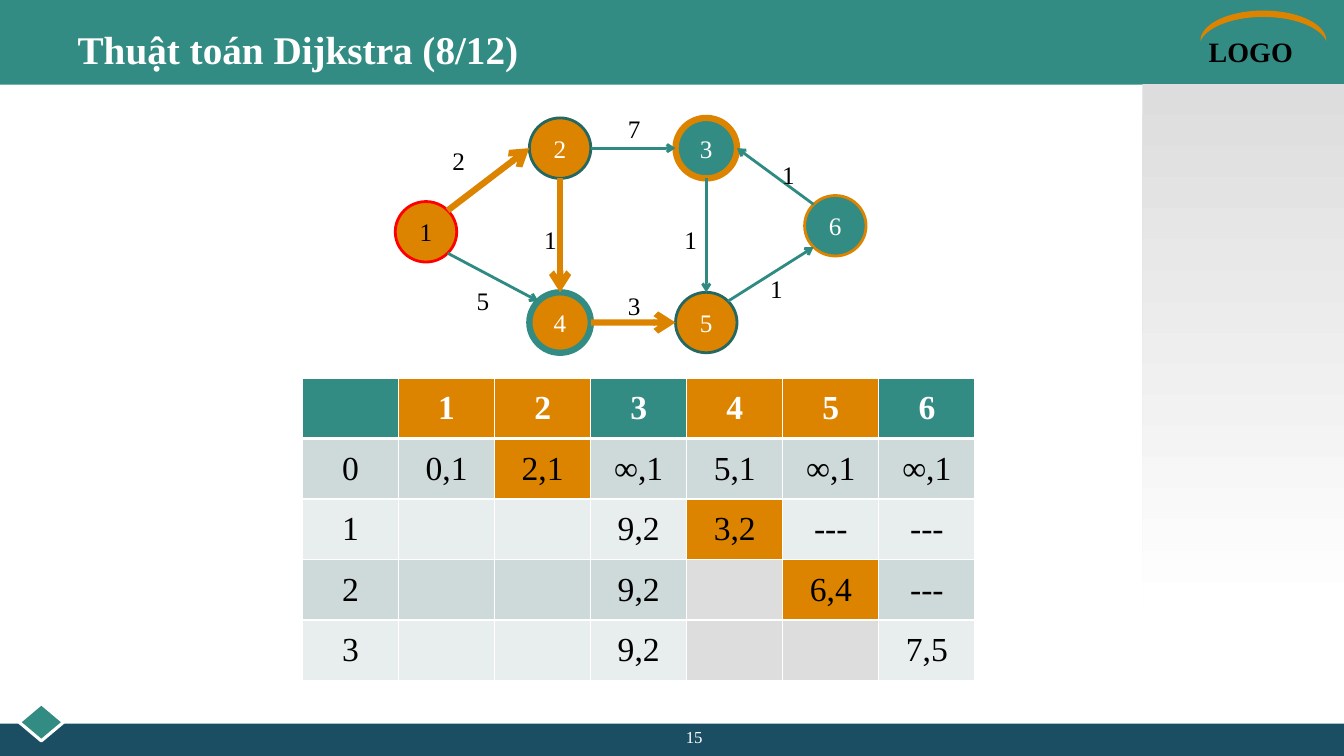
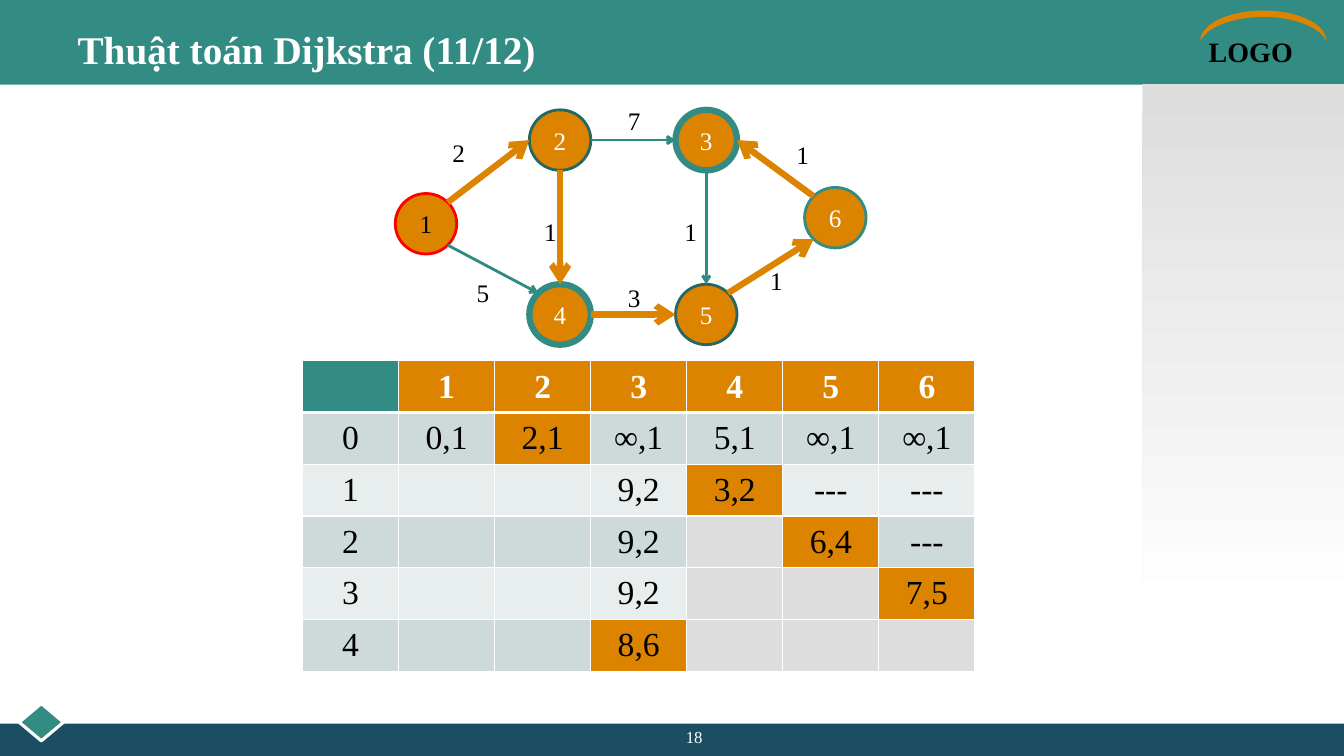
from dataclasses import dataclass
from itertools import pairwise
from math import cos, radians, sin
from typing import Any, NamedTuple

from lxml.etree import SubElement
from pptx import Presentation
from pptx.dml.color import RGBColor
from pptx.enum.shapes import MSO_CONNECTOR, MSO_SHAPE
from pptx.enum.text import MSO_ANCHOR, MSO_AUTO_SIZE, PP_ALIGN
from pptx.oxml import parse_xml
from pptx.oxml.ns import nsdecls, qn
from pptx.util import Inches, Pt


# Theme
@dataclass(frozen=True)
class Theme:
    font: str = "Times New Roman"
    teal: RGBColor = RGBColor(0x32, 0x8C, 0x83)
    edge: RGBColor = RGBColor(0x2F, 0x8B, 0x82)
    dark_teal: RGBColor = RGBColor(0x25, 0x68, 0x61)
    navy: RGBColor = RGBColor(0x1B, 0x4E, 0x63)
    orange: RGBColor = RGBColor(0xDC, 0x83, 0x00)
    red: RGBColor = RGBColor(0xFF, 0x00, 0x00)
    gray: RGBColor = RGBColor(0xDD, 0xDD, 0xDD)
    row_dark: RGBColor = RGBColor(0xCE, 0xDA, 0xD9)
    row_light: RGBColor = RGBColor(0xE8, 0xEE, 0xED)
    white: RGBColor = RGBColor(0xFF, 0xFF, 0xFF)
    black: RGBColor = RGBColor(0, 0, 0)
    title: int = 28
    cell: int = 24
    logo: int = 20
    graph: int = 18
    page: int = 12
    thin: float = 2
    thick: float = 4.5


T = Theme()


class Box(NamedTuple):
    left: float
    top: float
    width: float
    height: float

    def emu(self) -> list[int]:
        return [Inches(v) for v in self]


@dataclass(frozen=True)
class Node:
    left: float
    top: float
    line_width: float = T.thin
    outline: RGBColor | None = None  # None: depends on the node being visited
    text: RGBColor = T.white


@dataclass(frozen=True)
class Edge:
    start: int
    start_site: int
    end: int
    end_site: int
    weight: str
    label_at: tuple[float, float]


@dataclass(frozen=True)
class Step:
    number: int
    page: int
    done: int  # how many table rows have a chosen vertex
    rise: float  # how far the graph is moved up
    table: Box
    labels: dict[tuple[int, int], tuple[float, float]]  # moved edge labels


# Graph: ellipse sites run counter-clockwise from 0 at the top, 45° apart
NODE_W, NODE_H = 0.61, 0.6
NODES = {
    1: Node(3.92, 2, outline=T.red, text=T.black),
    2: Node(5.25, 1.17, outline=T.dark_teal),
    3: Node(6.7, 1.17, T.thick),
    6: Node(7.98, 1.94),
    5: Node(6.7, 2.9, outline=T.dark_teal),
    4: Node(5.25, 2.9, T.thick),
}
EDGES = [
    Edge(1, 7, 2, 2, "2", (4.34, 1.39)),
    Edge(1, 5, 4, 1, "5", (4.58, 2.78)),
    Edge(2, 4, 4, 0, "1", (5.25, 2.18)),
    Edge(2, 6, 3, 2, "7", (6.08, 1.08)),
    Edge(3, 4, 5, 0, "1", (6.64, 2.18)),
    Edge(4, 6, 5, 2, "3", (6.08, 2.83)),
    Edge(5, 7, 6, 3, "1", (7.49, 2.66)),
    Edge(6, 1, 3, 6, "1", (7.61, 1.53)),
]

# Table: one vertex of PATH after the start is chosen in each row
PATH = [1, 2, 4, 5, 6, 3]
GRAYED = {3, 4, 5, 6}
ROWS = [
    ["", "1", "2", "3", "4", "5", "6"],
    ["0", "0,1", "2,1", "∞,1", "5,1", "∞,1", "∞,1"],
    ["1", "", "", "9,2", "3,2", "---", "---"],
    ["2", "", "", "9,2", "", "6,4", "---"],
    ["3", "", "", "9,2", "", "", "7,5"],
    ["4", "", "", "8,6", "", "", ""],
]

STEPS = [
    Step(8, 15, 3, 0, Box(3, 3.75, 6.67, 3), {}),
    Step(11, 18, 5, 0.08, Box(3, 3.58, 6.67, 3.08), {(6, 3): (7.75, 1.41)}),
]


# Drawing helpers
def set_format(obj: Any, values: dict[str, Any]) -> None:
    for name, value in values.items():
        setattr(obj, name, value)


def write(tf: Any, text: str, size: int, color: RGBColor, bold: bool = False,
          align: PP_ALIGN = PP_ALIGN.CENTER) -> None:
    p = tf.paragraphs[0]
    p.alignment = align
    r = p.add_run()
    r.text = text
    set_format(r.font, {"name": T.font, "size": Pt(size), "bold": bold})
    r.font.color.rgb = color


def add_text(s: Any, box: Box, text: str, size: int, color: RGBColor,
             grow: bool = True, **style: Any) -> Any:
    sp = s.shapes.add_textbox(*box.emu())
    fit = MSO_AUTO_SIZE.SHAPE_TO_FIT_TEXT if grow else MSO_AUTO_SIZE.NONE
    set_format(sp.text_frame, {"word_wrap": True, "auto_size": fit})
    write(sp.text_frame, text, size, color, **style)
    return sp


def add_shape(s: Any, kind: MSO_SHAPE, box: Box, fill: RGBColor,
              line: RGBColor | None = None, width: float = 0) -> Any:
    sp = s.shapes.add_shape(kind, *box.emu())
    sp.shadow.inherit = False
    sp.fill.solid()
    sp.fill.fore_color.rgb = fill
    if line is None:
        sp.line.fill.background()
    else:
        sp.line.color.rgb = line
        sp.line.width = Pt(width)
    return sp


# Shared frame, kept on the layout
def build_frame(s: Any, layout: Any) -> None:
    moon = add_shape(s, MSO_SHAPE.MOON, Box(12.38, -0.37, 0.3, 1.25), T.orange)
    moon.rotation = 90
    moon.adjustments[0] = 0.21
    panel = add_shape(s, MSO_SHAPE.RECTANGLE, Box(11.33, 0.83, 2, 5.25), T.gray)
    panel.fill.gradient()
    panel.fill.gradient_angle = 270
    for stop, position, color in zip(panel.fill.gradient_stops, (0, 1), (T.gray, T.white)):
        stop.position = position
        stop.color.rgb = color
    frame = [
        add_shape(s, MSO_SHAPE.RECTANGLE, Box(0, 0, 13.33, 0.84), T.teal),
        add_shape(s, MSO_SHAPE.RECTANGLE, Box(0, 7.18, 13.33, 0.32), T.navy),
        add_shape(s, MSO_SHAPE.DIAMOND, Box(0.19, 6.98, 0.44, 0.37), T.teal, T.white, 2.25),
        add_text(s, Box(11.89, 0.29, 1.44, 0.43), "LOGO", T.logo, T.black,
                 bold=True, align=PP_ALIGN.LEFT),
        moon,
        panel,
    ]
    for shape_id, sp in enumerate(frame, 100):
        sp.element.nvSpPr.cNvPr.set("id", str(shape_id))
        layout.shapes.element.append(sp.element)


def add_title(s: Any, step: Step) -> None:
    title = s.shapes.title
    places = Box(0.67, 0.17, 12, 0.62).emu()
    set_format(title, dict(zip(("left", "top", "width", "height"), places)))
    set_format(title.text_frame, {"vertical_anchor": MSO_ANCHOR.MIDDLE, "word_wrap": True,
                                  "auto_size": MSO_AUTO_SIZE.NONE})
    write(title.text_frame, f"Thuật toán Dijkstra ({step.number}/12)", T.title, T.white,
          bold=True, align=PP_ALIGN.LEFT)


# Distance table
def set_borders(cell: Any, top: float, bottom: float) -> None:
    tc_pr = cell._tc.get_or_add_tcPr()
    for i, (side, width) in enumerate({"L": 1, "R": 1, "T": top, "B": bottom}.items()):
        tc_pr.insert(i, parse_xml(
            f'<a:ln{side} {nsdecls("a")} w="{Pt(width)}"><a:solidFill>'
            f'<a:srgbClr val="{T.white}"/></a:solidFill></a:ln{side}>'))


def cell_fill(row: int, col: int, done: int) -> RGBColor:
    if row == 0:
        return T.orange if col in PATH[:done + 1] else T.teal
    if row <= done and col == PATH[row]:
        return T.orange
    if col in GRAYED.intersection(PATH[:row]):
        return T.gray
    return T.row_dark if row % 2 else T.row_light


def add_distances(s: Any, step: Step) -> None:
    rows = ROWS[:step.done + 2]
    table = s.shapes.add_table(len(rows), len(rows[0]), *step.table.emu()).table
    for col in table.columns:
        col.width = Inches(step.table.width / len(rows[0]))
    for row in table.rows:
        row.height = Inches(step.table.height / len(rows))
    for i, texts in enumerate(rows):
        for j, text in enumerate(texts):
            cell = table.cell(i, j)
            cell.vertical_anchor = MSO_ANCHOR.MIDDLE
            cell.fill.solid()
            cell.fill.fore_color.rgb = cell_fill(i, j, step.done)
            set_borders(cell, 3 if i == 1 else 1, 3 if i == 0 else 1)
            if text:
                write(cell.text_frame, text, T.cell, T.black if i else T.white, bold=i == 0)


# Weighted graph
def site_point(node: Node, site: int, rise: float) -> tuple[int, int]:
    angle = radians(45 * site)
    return (Inches(node.left + NODE_W / 2 * (1 - sin(angle))),
            Inches(node.top - rise + NODE_H / 2 * (1 - cos(angle))))


def add_arrow(s: Any, edge: Edge, circles: dict[int, Any], step: Step, chosen: bool) -> None:
    c = s.shapes.add_connector(
        MSO_CONNECTOR.STRAIGHT,
        *site_point(NODES[edge.start], edge.start_site, step.rise),
        *site_point(NODES[edge.end], edge.end_site, step.rise))
    c.line.color.rgb = T.orange if chosen else T.edge
    c.line.width = Pt(T.thick if chosen else T.thin)
    SubElement(c.line._get_or_add_ln(), qn("a:tailEnd"), type="arrow")
    SubElement(c.element.spPr, qn("a:effectLst"))
    # Ellipses have eight sites, so the joins are written directly
    joins = c.element.nvCxnSpPr.cNvCxnSpPr
    for tag, node, site in (("a:stCxn", edge.start, edge.start_site),
                            ("a:endCxn", edge.end, edge.end_site)):
        SubElement(joins, qn(tag), id=str(circles[node].shape_id), idx=str(site))


def add_graph(s: Any, step: Step) -> None:
    visited = PATH[:step.done + 1]
    circles = {}
    for number, node in NODES.items():
        seen = number in visited
        outline = node.outline or (T.teal if seen else T.orange)
        sp = add_shape(s, MSO_SHAPE.OVAL, Box(node.left, node.top - step.rise, NODE_W, NODE_H),
                       T.orange if seen else T.teal, outline, node.line_width)
        sp.text_frame.vertical_anchor = MSO_ANCHOR.MIDDLE
        write(sp.text_frame, str(number), T.graph, node.text)
        circles[number] = sp
    chosen = set(pairwise(visited))
    for edge in EDGES:
        add_arrow(s, edge, circles, step, (edge.start, edge.end) in chosen)
    for edge in EDGES:
        left, top = step.labels.get((edge.start, edge.end), edge.label_at)
        add_text(s, Box(left, top - step.rise, 0.42, 0.4), edge.weight, T.graph, T.black)


def main() -> None:
    prs = Presentation()
    set_format(prs, {"slide_width": Inches(13.33), "slide_height": Inches(7.5)})
    layout = prs.slide_layouts[5]
    for i, step in enumerate(STEPS):
        s = prs.slides.add_slide(layout)
        if i == 0:
            build_frame(s, layout)
        add_title(s, step)
        add_distances(s, step)
        add_graph(s, step)
        add_text(s, Box(5.33, 7.16, 3.11, 0.26), str(step.page), T.page, T.white, grow=False)
    prs.save("out.pptx")


if __name__ == "__main__":
    main()
